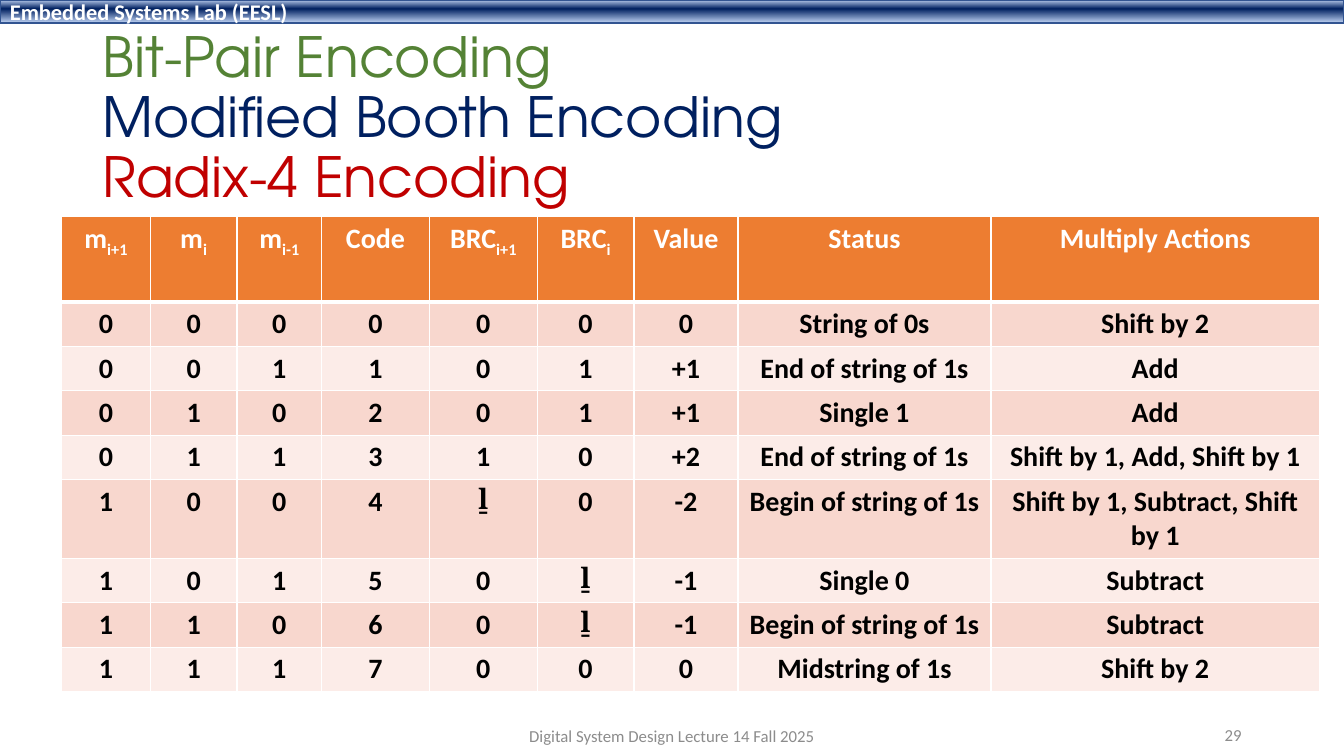
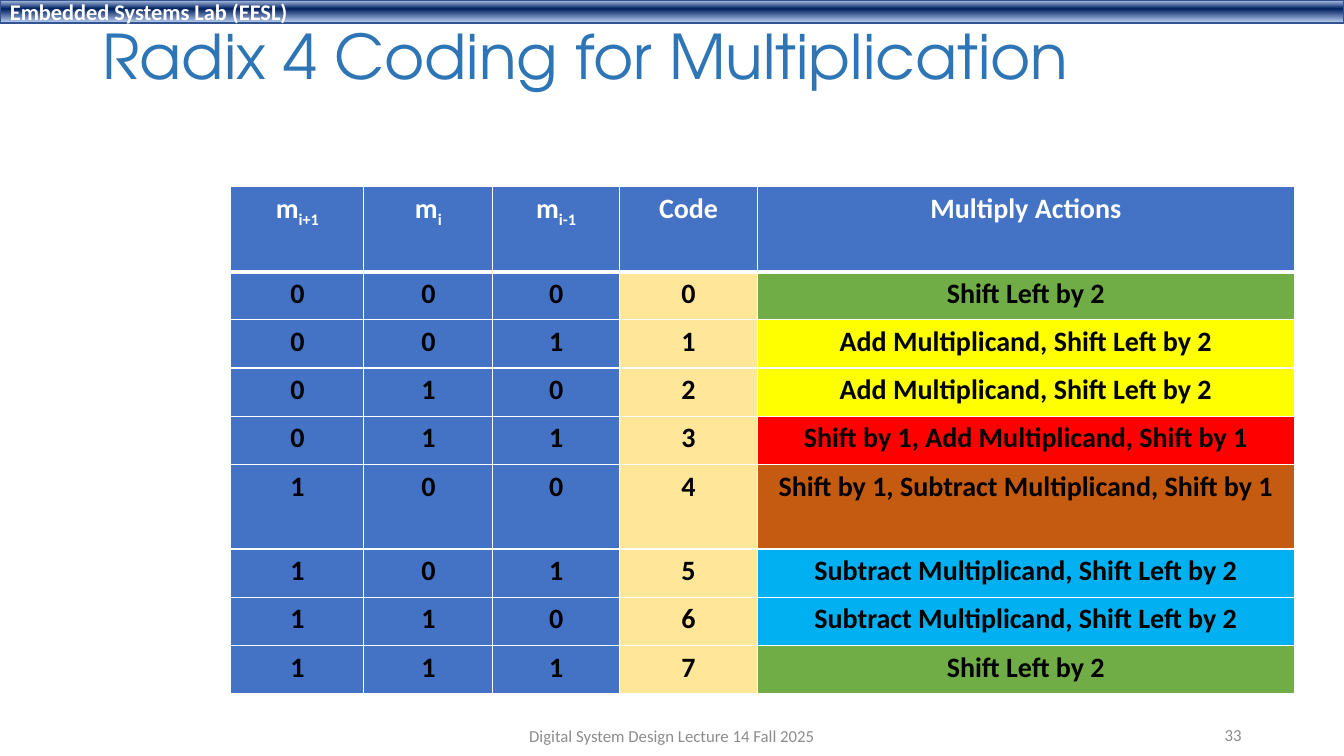
from dataclasses import dataclass

from lxml import etree
from pptx import Presentation
from pptx.dml.color import RGBColor
from pptx.enum.shapes import MSO_SHAPE
from pptx.enum.text import MSO_ANCHOR, MSO_AUTO_SIZE, PP_ALIGN
from pptx.oxml.ns import qn
from pptx.presentation import Presentation as Deck
from pptx.slide import Slide
from pptx.table import _Cell
from pptx.util import Pt

RECTANGLE = MSO_SHAPE.RECTANGLE
MIDDLE = MSO_ANCHOR.MIDDLE
NO_AUTOFIT = MSO_AUTO_SIZE.NONE
LEFT, CENTER, RIGHT = PP_ALIGN.LEFT, PP_ALIGN.CENTER, PP_ALIGN.RIGHT

WHITE = RGBColor(0xFF, 0xFF, 0xFF)
BLACK = RGBColor(0x00, 0x00, 0x00)
GRAY = RGBColor(0x8C, 0x8C, 0x8C)
NAVY = RGBColor(0x00, 0x20, 0x60)
BAND_EDGE = RGBColor(0x32, 0x54, 0x91)
BAND_TOP = RGBColor(0xAB, 0xC0, 0xE4)
BAND_BOTTOM = RGBColor(0xAC, 0xC1, 0xE5)
DARK_GREEN = RGBColor(0x54, 0x82, 0x35)
DARK_RED = RGBColor(0xC0, 0x00, 0x00)
TITLE_BLUE = RGBColor(0x2E, 0x75, 0xB6)
ORANGE = RGBColor(0xED, 0x7D, 0x31)
PEACH = RGBColor(0xF8, 0xD7, 0xCE)
PALE_PEACH = RGBColor(0xFC, 0xEC, 0xE8)
BLUE = RGBColor(0x44, 0x72, 0xC4)
CREAM = RGBColor(0xFF, 0xE6, 0x99)
GREEN = RGBColor(0x70, 0xAD, 0x47)
YELLOW = RGBColor(0xFF, 0xFF, 0x00)
RED = RGBColor(0xFF, 0x00, 0x00)
RUST = RGBColor(0xC5, 0x5A, 0x11)
SKY = RGBColor(0x00, 0xB0, 0xF0)

BODY_FONT = "Calibri"
DIGIT_FONT = "Cambria"
TITLE_FONT = "TeX Gyre Adventor"
MINUS_ONE = "ḻ"
SLIDE_WIDTH, SLIDE_HEIGHT = 960, 540
BAND_STOPS = ((0, BAND_TOP), (2, BAND_TOP), (38, NAVY), (93, BAND_BOTTOM), (100, BAND_BOTTOM))


@dataclass(frozen=True)
class Box:
    left: float
    top: float
    width: float
    height: float

    def lengths(self) -> tuple[Pt, Pt, Pt, Pt]:
        return Pt(self.left), Pt(self.top), Pt(self.width), Pt(self.height)


@dataclass(frozen=True)
class TitleLine:
    text: str
    color: RGBColor


@dataclass(frozen=True)
class CodeTable:
    left: float
    top: float
    widths: tuple[float, ...]
    heights: tuple[float, ...]
    header: tuple[str, ...]
    header_fill: RGBColor
    rows: list[tuple[str, ...]]
    fills: list[tuple[RGBColor, ...]]


@dataclass(frozen=True)
class CodingSlide:
    title_box: Box
    title_size: float
    title: tuple[TitleLine, ...]
    number: int
    table: CodeTable


def bits(code: int) -> tuple[str, ...]:
    return tuple(f"{code:03b}")


RECODINGS = (
    ("0", "0", "0", "String of 0s", "Shift by 2"),
    ("0", "1", "+1", "End of string of 1s", "Add"),
    ("0", "1", "+1", "Single 1", "Add"),
    ("1", "0", "+2", "End of string of 1s", "Shift by 1, Add, Shift by 1"),
    (MINUS_ONE, "0", "-2", "Begin of string of 1s", "Shift by 1, Subtract, Shift by 1"),
    ("0", MINUS_ONE, "-1", "Single 0", "Subtract"),
    ("0", MINUS_ONE, "-1", "Begin of string of 1s", "Subtract"),
    ("0", "0", "0", "Midstring of 1s", "Shift by 2"),
)

SKIP = ("Shift Left by 2", GREEN)
ADD = ("Add Multiplicand, Shift Left by 2", YELLOW)
ADD_TWICE = ("Shift by 1, Add Multiplicand, Shift by 1", RED)
SUBTRACT_TWICE = ("Shift by 1, Subtract Multiplicand, Shift by 1", RUST)
SUBTRACT = ("Subtract Multiplicand, Shift Left by 2", SKY)
ACTIONS = (SKIP, ADD, ADD, ADD_TWICE, SUBTRACT_TWICE, SUBTRACT, SUBTRACT, SKIP)

BIT_HEADER = ("m_i+1", "m_i", "m_i-1", "Code")

ENCODING = CodingSlide(
    title_box=Box(66, 20, 828, 131),
    title_size=39.6,
    title=(
        TitleLine("Bit-Pair Encoding", DARK_GREEN),
        TitleLine("Modified Booth Encoding", NAVY),
        TitleLine("Radix-4 Encoding", DARK_RED),
    ),
    number=29,
    table=CodeTable(
        left=44,
        top=154.8,
        widths=(63.4, 61.9, 60.5, 77, 77, 69.1, 74.4, 180.7, 234.7),
        heights=(60.9, *[31.7] * 4, 55.7, *[31.7] * 3),
        header=BIT_HEADER + ("BRC_i+1", "BRC_i", "Value", "Status", "Multiply Actions"),
        header_fill=ORANGE,
        rows=[bits(code) + (str(code),) + recoding for code, recoding in enumerate(RECODINGS)],
        fills=[((PEACH, PALE_PEACH)[code % 2],) * 9 for code in range(8)],
    ),
)

MULTIPLICATION = CodingSlide(
    title_box=Box(66, 10.8, 828, 63.4),
    title_size=44,
    title=(TitleLine("Radix 4 Coding for Multiplication", TITLE_BLUE),),
    number=33,
    table=CodeTable(
        left=164.9,
        top=133.2,
        widths=(95, 92.2, 90.5, 98.6, 383.3),
        heights=(60.9, *[34.4] * 4, 60.6, *[34.4] * 3),
        header=BIT_HEADER + ("Multiply Actions",),
        header_fill=BLUE,
        rows=[bits(code) + (str(code), action) for code, (action, _) in enumerate(ACTIONS)],
        fills=[(BLUE, BLUE, BLUE, CREAM, fill) for _, fill in ACTIONS],
    ),
)


def move_band_to_master(deck: Deck, slide: Slide) -> None:
    band = slide.shapes.add_shape(RECTANGLE, *Box(0, 0, SLIDE_WIDTH, 16.6).lengths())
    band.shadow.inherit = False
    band.fill.gradient()
    band.fill.gradient_angle = 270
    stops = band.element.find(".//" + qn("a:gsLst"))
    for stop in list(stops):
        stops.remove(stop)
    for position, color in BAND_STOPS:
        stop = etree.SubElement(stops, qn("a:gs"), pos=str(position * 1000))
        etree.SubElement(stop, qn("a:srgbClr"), val=str(color))
    band.line.color.rgb = BAND_EDGE
    band.line.width = Pt(1)
    band.text_frame.vertical_anchor = MIDDLE
    lab = band.text_frame.paragraphs[0]
    lab.text = "Embedded Systems Lab (EESL)"
    lab.alignment = LEFT
    lab.font.name = BODY_FONT
    lab.font.size = Pt(16)
    lab.font.bold = True
    lab.font.color.rgb = WHITE
    deck.slide_master.shapes.element.insert(2, band.element)


def add_title(slide: Slide, coding: CodingSlide) -> None:
    title = slide.shapes.title
    title.left, title.top, title.width, title.height = coding.title_box.lengths()
    title.text_frame.auto_size = NO_AUTOFIT
    title.text_frame.vertical_anchor = MIDDLE
    heading = title.text_frame.paragraphs[0]
    heading.alignment = LEFT
    heading.line_spacing = 0.9
    heading.font.name = TITLE_FONT
    heading.font.size = Pt(coding.title_size)
    for index, line in enumerate(coding.title):
        if index:
            heading.add_line_break()
        run = heading.add_run()
        run.text = line.text
        run.font.color.rgb = line.color


def add_footer(slide: Slide, box: Box, text: str, alignment: PP_ALIGN) -> None:
    frame = slide.shapes.add_textbox(*box.lengths()).text_frame
    frame.word_wrap = True
    frame.vertical_anchor = MIDDLE
    footer = frame.paragraphs[0]
    footer.text = text
    footer.alignment = alignment
    footer.font.name = BODY_FONT
    footer.font.size = Pt(12)
    footer.font.color.rgb = GRAY


def add_borders(cell: _Cell, top: float, bottom: float) -> None:
    properties = cell._tc.get_or_add_tcPr()
    for side, width in (("L", 1), ("R", 1), ("T", top), ("B", bottom)):
        border = etree.SubElement(properties, qn(f"a:ln{side}"), w=str(Pt(width)))
        paint = etree.SubElement(border, qn("a:solidFill"))
        etree.SubElement(paint, qn("a:srgbClr"), val=str(WHITE))


def fill_cell(cell: _Cell, text: str, fill: RGBColor, color: RGBColor) -> None:
    cell.fill.solid()
    cell.fill.fore_color.rgb = fill
    entry = cell.text_frame.paragraphs[0]
    entry.alignment = CENTER
    entry.font.name = DIGIT_FONT if text == MINUS_ONE else BODY_FONT
    entry.font.size = Pt(20)
    entry.font.bold = True
    entry.font.color.rgb = color
    symbol, _, subscript = text.partition("_")
    entry.add_run().text = symbol
    if subscript:
        index = entry.add_run()
        index.text = subscript
        index._r.get_or_add_rPr().set("baseline", "-25000")


def add_code_table(slide: Slide, codes: CodeTable) -> None:
    box = Box(codes.left, codes.top, sum(codes.widths), sum(codes.heights))
    grid = slide.shapes.add_table(len(codes.heights), len(codes.widths), *box.lengths()).table
    for column, width in zip(grid.columns, codes.widths):
        column.width = Pt(width)
    for row, height in zip(grid.rows, codes.heights):
        row.height = Pt(height)
    texts = [codes.header, *codes.rows]
    fills = [(codes.header_fill,) * len(codes.header), *codes.fills]
    for row, (row_texts, row_fills) in enumerate(zip(texts, fills)):
        for column, (text, fill) in enumerate(zip(row_texts, row_fills)):
            cell = grid.cell(row, column)
            add_borders(cell, top=3 if row == 1 else 1, bottom=3 if row == 0 else 1)
            fill_cell(cell, text, fill, BLACK if row else WHITE)


def add_coding_slide(deck: Deck, coding: CodingSlide) -> Slide:
    slide = deck.slides.add_slide(deck.slide_layouts.get_by_name("Title Only"))
    add_title(slide, coding)
    add_code_table(slide, coding.table)
    add_footer(slide, Box(318, 511, 324, 28.8), "Digital System Design Lecture 14 Fall 2025", CENTER)
    add_footer(slide, Box(678, 510.5, 216, 28.8), str(coding.number), RIGHT)
    return slide


def main() -> None:
    deck = Presentation()
    deck.slide_width, deck.slide_height = Pt(SLIDE_WIDTH), Pt(SLIDE_HEIGHT)
    slides = [add_coding_slide(deck, coding) for coding in (ENCODING, MULTIPLICATION)]
    move_band_to_master(deck, slides[0])
    deck.save("out.pptx")


if __name__ == "__main__":
    main()
